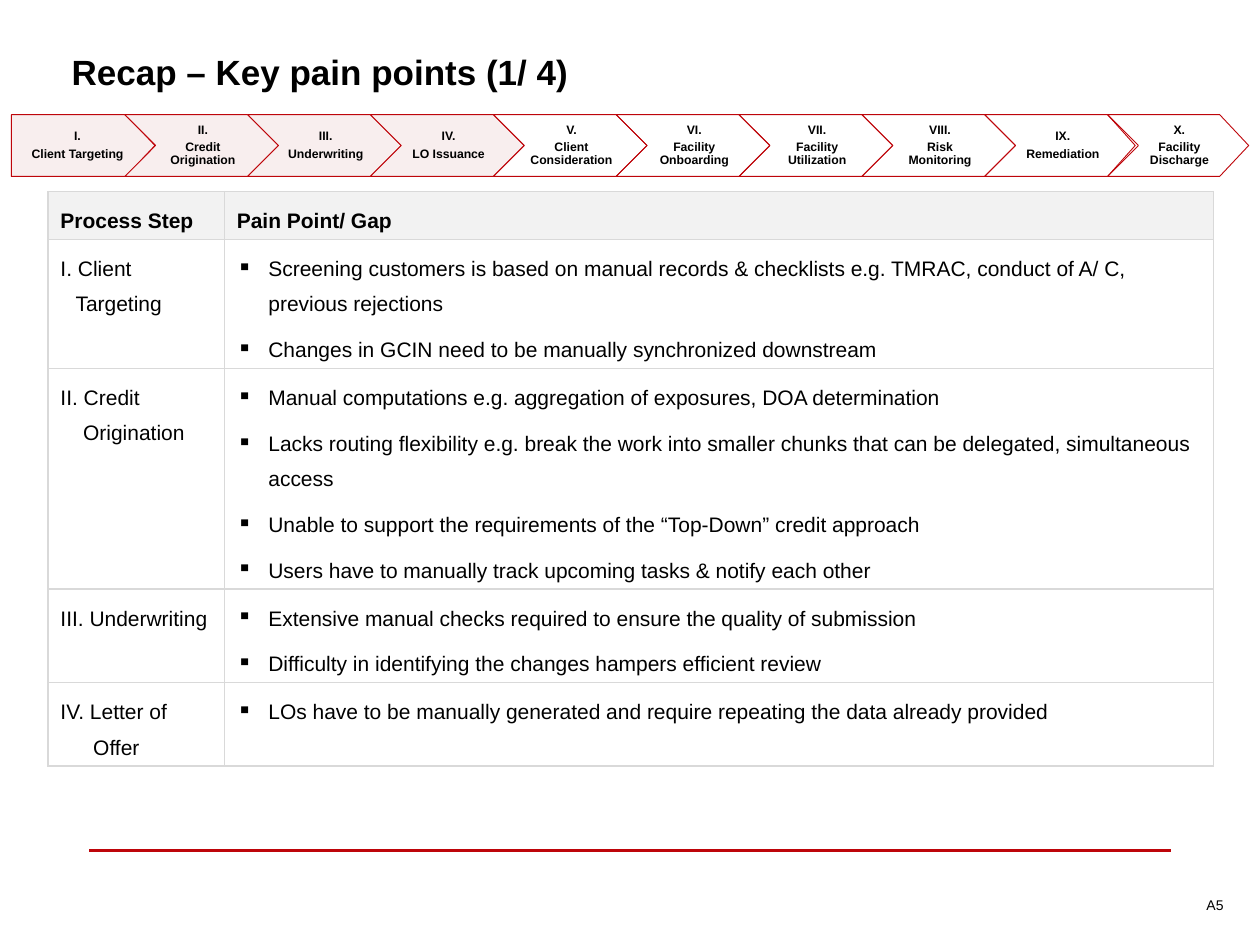
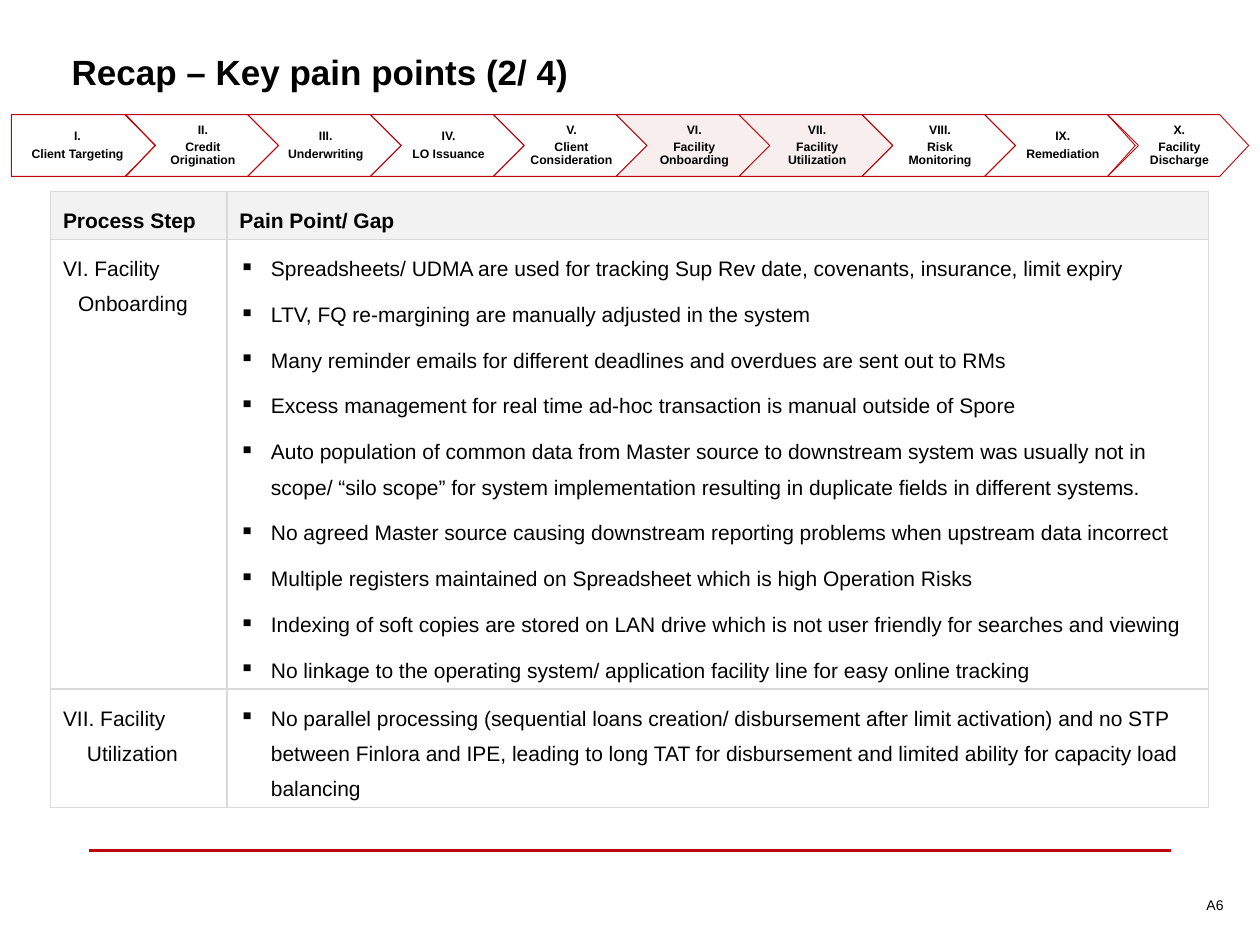
from lxml import etree
from pptx import Presentation
from pptx.dml.color import RGBColor as RGB
from pptx.enum.shapes import MSO_CONNECTOR as LINK
from pptx.enum.text import MSO_ANCHOR as ANCHOR, PP_ALIGN as ALIGN
from pptx.oxml import parse_xml
from pptx.oxml.ns import nsdecls, qn
from pptx.util import Inches, Pt

HUES = {"ink": "000000", "red": "BE050A", "blush": "F8EEEE",
        "grid": "D9D9D9", "head": "F2F2F2", "paper": "FFFFFF"}

# Paragraph and font formats
FORMS = {
    "title": ({}, {"size": Pt(20), "bold": True}),
    "step": ({"alignment": ALIGN.CENTER, "line_spacing": 0.9, "space_after": Pt(2.5)},
             {"size": Pt(7), "bold": True}),
    "head": ({"line_spacing": 1.5, "space_after": Pt(6)}, {"size": Pt(12), "bold": True}),
    "body": ({"line_spacing": 1.5, "space_after": Pt(6)}, {"size": Pt(12), "bold": False}),
    "page": ({"alignment": ALIGN.RIGHT}, {"size": Pt(8)}),
}

STEPS = [("I.", "Client Targeting"), ("II.", "Credit Origination"),
         ("III.", "Underwriting"), ("IV.", "LO Issuance"),
         ("V.", "Client Consideration"), ("VI.", "Facility Onboarding"),
         ("VII.", "Facility Utilization"), ("VIII.", "Risk Monitoring"),
         ("IX.", "Remediation"), ("X.", "Facility Discharge")]
HEADS = ["Process Step", "Pain Point/ Gap"]

# Each row: step name, hanging indent, row height, pain points
PAGES = [
    {"title": "Recap – Key pain points (1/ 4)", "page": "A5", "lit": range(0, 4),
     "left": 0.38, "cols": [1.4, 7.85],
     "rows": [
         ("I. Client Targeting", 0.12, 1.02, [
             "Screening customers is based on manual records & checklists e.g. TMRAC, "
             "conduct of A/ C, previous rejections",
             "Changes in GCIN need to be manually synchronized downstream"]),
         ("II. Credit Origination", 0.18, 1.75, [
             "Manual computations e.g. aggregation of exposures, DOA determination",
             "Lacks routing flexibility e.g. break the work into smaller chunks that "
             "can be delegated, simultaneous access",
             "Unable to support the requirements of the “Top-Down” credit approach",
             "Users have to manually track upcoming tasks & notify each other"]),
         ("III. Underwriting", 0.19, 0.74, [
             "Extensive manual checks required to ensure the quality of submission",
             "Difficulty in identifying the changes hampers efficient review"]),
         ("IV. Letter of Offer", 0.26, 0.66, [
             "LOs have to be manually generated and require repeating the data "
             "already provided"])]},
    {"title": "Recap – Key pain points (2/ 4)", "page": "A6", "lit": range(5, 7),
     "left": 0.4, "cols": [1.4, 7.79],
     "rows": [
         ("VI. Facility Onboarding", 0.12, 3.56, [
             "Spreadsheets/ UDMA are used for tracking Sup Rev date, covenants, "
             "insurance, limit expiry",
             "LTV, FQ re-margining are manually adjusted in the system",
             "Many reminder emails for different deadlines and overdues are sent out to RMs",
             "Excess management for real time ad-hoc transaction is manual outside of Spore",
             "Auto population of common data from Master source to downstream system was "
             "usually not in scope/ “silo scope” for system implementation resulting in "
             "duplicate fields in different systems.",
             "No agreed Master source causing downstream reporting problems when "
             "upstream data incorrect",
             "Multiple registers maintained on Spreadsheet which is high Operation Risks",
             "Indexing of soft copies are stored on LAN drive which is not user friendly "
             "for searches and viewing",
             "No linkage to the operating system/ application facility line for easy "
             "online tracking"]),
         ("VII. Facility Utilization", 0.19, 0.94, [
             "No parallel processing (sequential loans creation/ disbursement after limit "
             "activation) and no STP between Finlora and IPE, leading to long TAT for "
             "disbursement and limited ability for capacity load balancing"])]},
]


def write(frame, texts, form, hang=0, mark=None):
    """Fill a text frame with paragraphs of one format."""
    frame.word_wrap = True
    looks, face = FORMS[form]
    for n, text in enumerate(texts):
        para = frame.add_paragraph() if n else frame.paragraphs[0]
        run = para.add_run()
        run.text = text
        for key, val in looks.items():
            setattr(para, key, val)
        for key, val in {"name": "Arial", **face}.items():
            setattr(run.font, key, val)
        run.font.color.rgb = RGB.from_string(HUES["ink"])
        props = para._p.get_or_add_pPr()
        if hang:
            props.set("marL", str(Inches(hang)))
            props.set("indent", str(-Inches(hang)))
        if mark:
            etree.SubElement(props, qn("a:buChar")).set("char", mark)


def dress(cell, hue):
    """Give a cell its thin grid lines and fill."""
    props = cell._tc.get_or_add_tcPr()
    for side in ("lnL", "lnR", "lnT", "lnB"):
        props.append(parse_xml(
            f'<a:{side} {nsdecls("a")} w="{Pt(1)}"><a:solidFill>'
            f'<a:srgbClr val="{HUES["grid"]}"/></a:solidFill></a:{side}>'))
    cell.fill.solid()
    cell.fill.fore_color.rgb = RGB.from_string(HUES[hue])


deck = Presentation()
deck.slide_width, deck.slide_height = Inches(10), Inches(7.5)

for page in PAGES:
    slide = deck.slides.add_slide(deck.slide_layouts[6])
    shapes = slide.shapes

    # Footer rule
    rule = shapes.add_connector(LINK.STRAIGHT, Inches(0.71), Inches(6.75),
                                Inches(9.29), Inches(6.75))
    rule.line.color.rgb = RGB.from_string(HUES["red"])
    rule.line.width = Pt(1.5)
    etree.SubElement(rule._element.spPr, qn("a:effectLst"))

    # Pain point table
    rows = page["rows"]
    highs = [0.38] + [row[2] for row in rows]
    frame = shapes.add_table(len(highs), 2, Inches(page["left"]), Inches(1.52),
                             Inches(sum(page["cols"])), Inches(sum(highs)))
    table = frame.table
    table.horz_banding = False
    for col, wide in zip(table.columns, page["cols"]):
        col.width = Inches(wide)
    for line, high in zip(table.rows, highs):
        line.height = Inches(high)
    for c, head in enumerate(HEADS):
        cell = table.cell(0, c)
        cell.vertical_anchor = ANCHOR.MIDDLE
        dress(cell, "head")
        write(cell.text_frame, [head], "head")
    for r, (step, hang, high, gaps) in enumerate(rows, 1):
        for c in range(2):
            dress(table.cell(r, c), "paper")
        write(table.cell(r, 0).text_frame, [step], "body", hang)
        write(table.cell(r, 1).text_frame, gaps, "body", 0.25, "▪")

    # Title and page number
    for form, text, spot in (("title", page["title"], (0.47, 0.24, 9.07, 0.65)),
                             ("page", page["page"], (8.64, 6.97, 1.17, 0.42))):
        box = shapes.add_textbox(*map(Inches, spot))
        box.text_frame.vertical_anchor = ANCHOR.MIDDLE
        write(box.text_frame, [text], form)

    # Process chevrons: flat left end on the first, shorter last one
    top, mid, low = 0.91, 1.155, 1.4
    for n, texts in enumerate(STEPS):
        first, last = n == 0, n == len(STEPS) - 1
        left = 0.09 if first else 0.99 + 0.975 * (n - 1)
        neck = 1 if first else 9.68 if last else left + 0.975
        tip = neck + (0.23 if first or last else 0.245)
        dots = [(neck, top), (tip, mid), (neck, low), (left, low)]
        if not first:
            dots.append((left + (0.22 if last else 0.245), mid))
        pen = shapes.build_freeform(Inches(left), Inches(top))
        pen.add_line_segments([(Inches(x), Inches(y)) for x, y in dots])
        arrow = pen.convert_to_shape()
        arrow.shadow.inherit = False
        if n in page["lit"]:
            arrow.fill.solid()
            arrow.fill.fore_color.rgb = RGB.from_string(HUES["blush"])
        else:
            arrow.fill.background()
        arrow.line.color.rgb = RGB.from_string(HUES["red"])
        arrow.line.width = Pt(0.5)
        pads = {"left": 0.04 if first else 0.27, "right": 0.13 if first else 0.25,
                "top": 0.02, "bottom": 0.02}
        for side, pad in pads.items():
            setattr(arrow.text_frame, f"margin_{side}", Inches(pad))
        arrow.text_frame.vertical_anchor = ANCHOR.MIDDLE
        write(arrow.text_frame, texts, "step")

deck.save("out.pptx")
